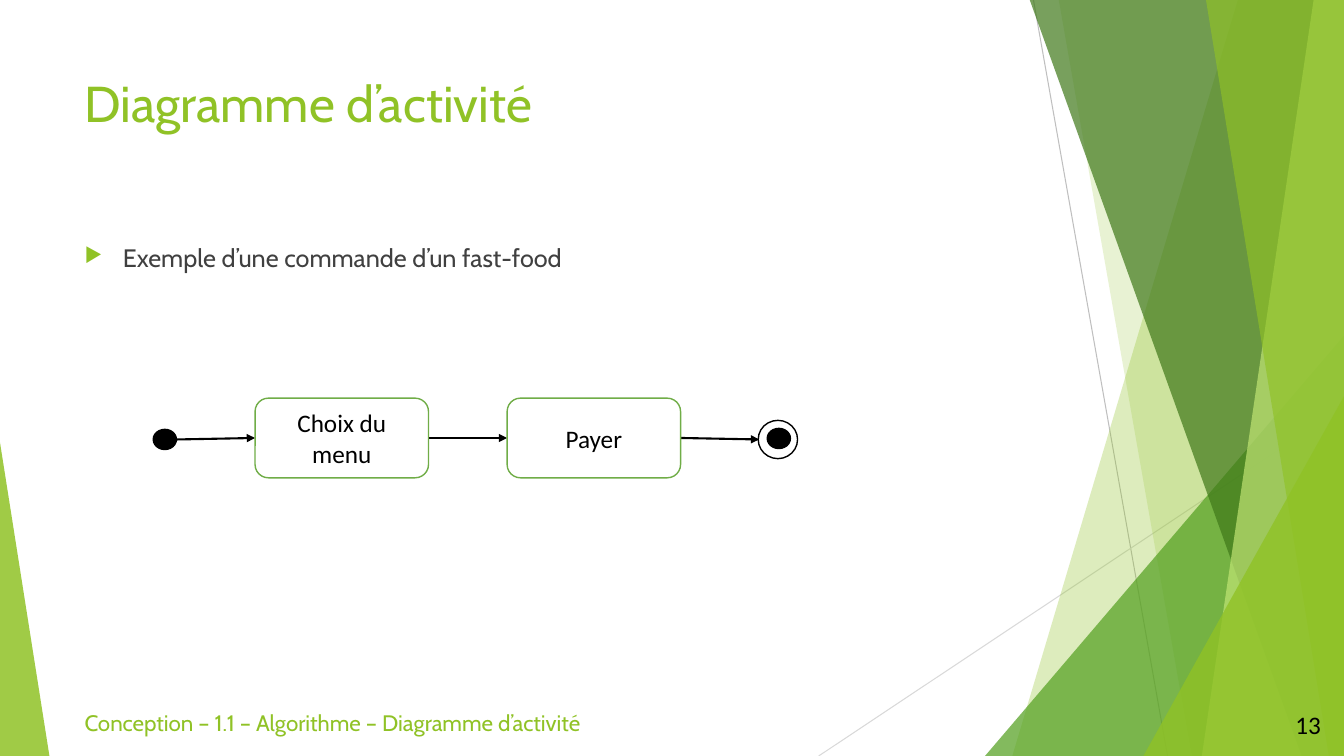
import pptx
import pptx.util
import pptx.dml.color
import pptx.enum.shapes
import pptx.enum.text
import pptx.oxml
import pptx.oxml.ns
from lxml import etree
from pptx.util import Inches

THEME = {
    "green": "90C226", "mid": "54A021", "dark": "3F7819", "pale": "C0E474",
    "border": "70AD47", "black": "000000", "white": "FFFFFF", "body": "404040",
    "rule": "BFBFBF", "rule_light": "D9D9D9",
    "heading_font": "Cabin", "diagram_font": "Calibri",
    "title_size": 36, "text_size": 18, "footer_size": 16,
}
ALIGN = pptx.enum.text.PP_ALIGN
ANCHOR = pptx.enum.text.MSO_ANCHOR
SHAPE = pptx.enum.shapes.MSO_SHAPE
qn = pptx.oxml.ns.qn


def write_text(shape, text, size="text_size", font="diagram_font", color="black",
               align=ALIGN.LEFT, anchor=ANCHOR.TOP):
    frame = shape.text_frame
    frame.word_wrap = True
    frame.vertical_anchor = anchor
    frame.text = text
    for paragraph in frame.paragraphs:
        paragraph.alignment = align
        for run in paragraph.runs:
            run.font.size = pptx.util.Pt(THEME[size])
            run.font.name = THEME[font]
            run.font.color.rgb = pptx.dml.color.RGBColor.from_string(THEME[color])
    return frame


def paint(shape, fill, line=None, opacity=100):
    shape.shadow.inherit = False
    shape.fill.solid()
    shape.fill.fore_color.rgb = pptx.dml.color.RGBColor.from_string(THEME[fill])
    if opacity < 100:
        color = shape.fill._xPr.find(qn("a:solidFill"))[0]
        etree.SubElement(color, qn("a:alpha")).set("val", str(opacity * 1000))
    if line:
        shape.line.color.rgb = pptx.dml.color.RGBColor.from_string(THEME[line])
        shape.line.width = pptx.util.Pt(1)
    else:
        shape.line.fill.background()


presentation = pptx.Presentation()
presentation.slide_width = Inches(13.33)
presentation.slide_height = Inches(7.5)
slide = presentation.slides.add_slide(presentation.slide_layouts[6])
shapes = slide.shapes

connectors = []
for start, end, color, width in [
    ((10.25, 0), (11.58, 7.5), "rule", 0.75),
    ((13.33, 4.03), (8.12, 7.5), "rule_light", 0.75),
    ((1.75, 4.36), (2.53, 4.35), "black", 1.5),
    ((4.25, 4.35), (5.03, 4.35), "black", 1.5),
    ((6.75, 4.35), (7.53, 4.36), "black", 1.5),
]:
    connector = shapes.add_connector(
        pptx.enum.shapes.MSO_CONNECTOR.STRAIGHT, *map(Inches, start + end))
    connector.line.color.rgb = pptx.dml.color.RGBColor.from_string(THEME[color])
    connector.line.width = pptx.util.Pt(width)
    if color == "black":
        etree.SubElement(connector.line._get_or_add_ln(), qn("a:tailEnd")).set("type", "triangle")
        connectors.append(connector)
    etree.SubElement(connector._element.spPr, qn("a:effectLst"))

top, right, bottom = -0.01, 13.33, 7.5
for points, color, opacity in [
    ([(12.28, top), (right, top), (right, bottom), (10.04, bottom)], "green", 30),
    ([(10.5, top), (right, top), (right, bottom), (11.82, bottom)], "green", 20),
    ([(9.77, bottom), (right, 3.33), (right, bottom)], "mid", 72),
    ([(10.21, top), (right, top), (right, bottom), (12.91, bottom)], "dark", 70),
    ([(13.03, top), (right, top), (right, bottom), (11.92, bottom)], "pale", 70),
    ([(11.96, top), (right, top), (right, bottom), (13.18, bottom)], "green", 65),
    ([(11.34, bottom), (right, 3.93), (right, bottom)], "green", 80),
    ([(0, bottom), (0, 4.39), (0.49, bottom)], "green", 85),
]:
    corners = [(Inches(x), Inches(y)) for x, y in points]
    builder = shapes.build_freeform(*corners[0])
    builder.add_line_segments(corners[1:], close=True)
    paint(builder.convert_to_shape(), color, opacity=opacity)

title = shapes.add_textbox(Inches(0.74), Inches(0.67), Inches(9.4), Inches(1.44))
write_text(title, "Diagramme d’activité", size="title_size", font="heading_font", color="green")

number = shapes.add_textbox(Inches(12.45), Inches(6.99), Inches(0.75), Inches(0.4))
write_text(number, "13", align=ALIGN.RIGHT, anchor=ANCHOR.MIDDLE)

footer = shapes.add_textbox(Inches(0.74), Inches(6.99), Inches(6.55), Inches(0.4))
write_text(footer, "Conception – 1.1 – Algorithme – Diagramme d’activité",
           size="footer_size", font="heading_font", color="green")

body = shapes.add_textbox(Inches(0.74), Inches(2.36), Inches(9.4), Inches(0.57))
frame = write_text(body, "Exemple d’une commande d’un fast-food", font="heading_font", color="body")
bullet_paragraph = frame.paragraphs[0]
bullet_paragraph.space_before = pptx.util.Pt(10)
properties = bullet_paragraph._p.get_or_add_pPr()
properties.set("marL", str(Inches(0.38)))
properties.set("indent", str(Inches(-0.38)))
bullet_color = etree.SubElement(properties, qn("a:buClr"))
etree.SubElement(bullet_color, qn("a:srgbClr")).set("val", THEME["green"])
etree.SubElement(properties, qn("a:buSzPct")).set("val", "80000")
etree.SubElement(properties, qn("a:buChar")).set("char", "▶")

activities = []
for left, label in [(2.53, "Choix du\nmenu"), (5.03, "Payer")]:
    activity = shapes.add_shape(
        SHAPE.ROUNDED_RECTANGLE, Inches(left), Inches(3.95), Inches(1.72), Inches(0.79))
    paint(activity, "white", "border")
    write_text(activity, label, align=ALIGN.CENTER, anchor=ANCHOR.MIDDLE)
    activities.append(activity)

for left, node_top, width, height, fill in [
    (1.52, 4.26, 0.23, 0.2, "black"),
    (7.52, 4.17, 0.39, 0.38, "white"),
    (7.61, 4.25, 0.23, 0.2, "black"),
]:
    node = shapes.add_shape(
        SHAPE.OVAL, Inches(left), Inches(node_top), Inches(width), Inches(height))
    paint(node, fill, "black")

for index, activity in enumerate(activities):
    connectors[index].end_connect(activity, 1)
    connectors[index + 1].begin_connect(activity, 3)

presentation.save("out.pptx")
